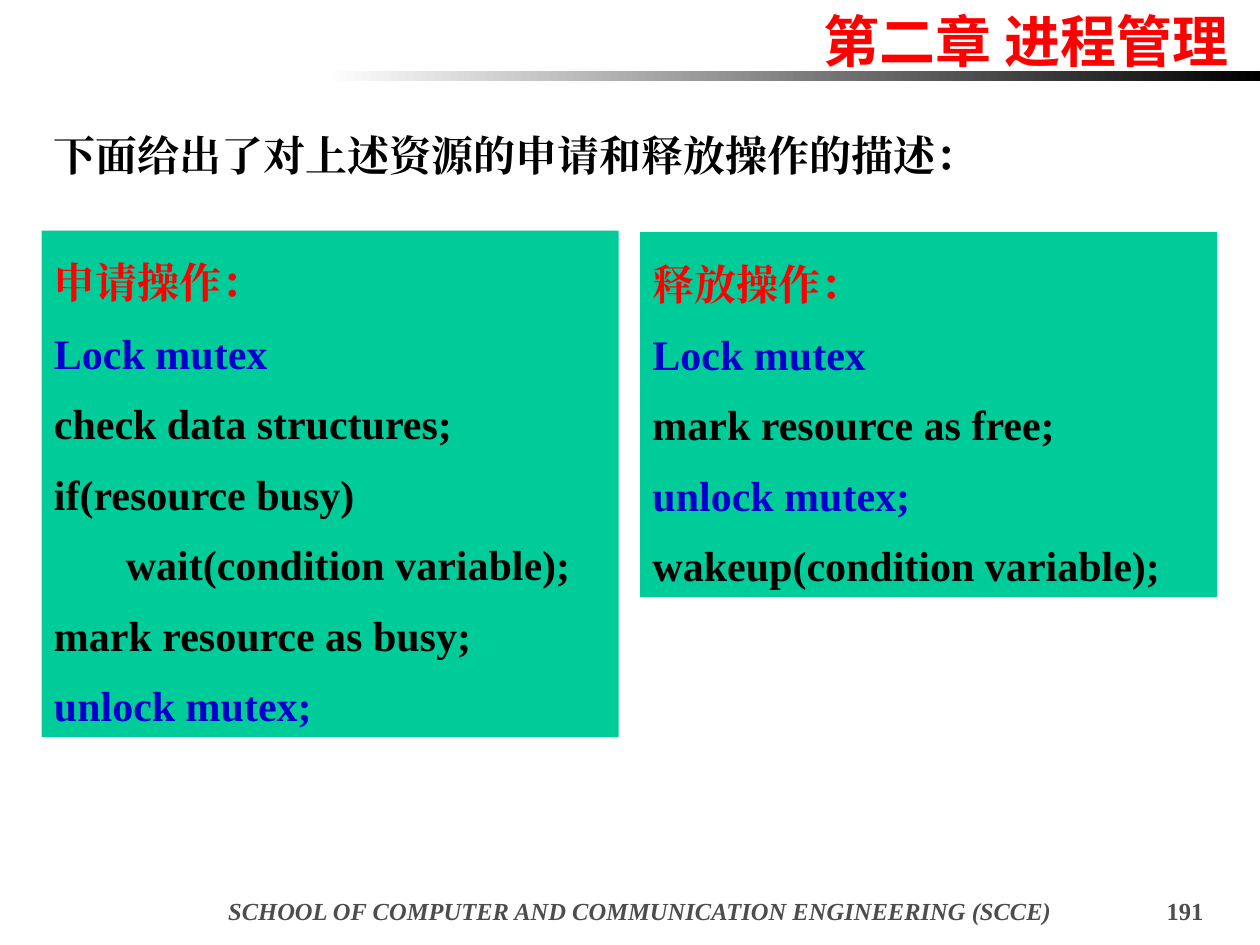
from lxml.etree import SubElement
from pptx import Presentation
from pptx.dml.color import RGBColor
from pptx.enum.shapes import MSO_SHAPE
from pptx.enum.text import MSO_ANCHOR, PP_ALIGN
from pptx.oxml.ns import qn
from pptx.util import Inches, Pt

SERIF, SANS = "Times New Roman", "Noto Sans CJK SC"
RED, BLUE, BLACK, GRAY, GREEN = "FF0000", "0000CC", "000000", "4D4D4D", "00CC99"
BODY_LEADING = 40.25

CHAPTER = "第二章 进程管理"
INTRO = "下面给出了对上述资源的申请和释放操作的描述："
SCHOOL = "SCHOOL OF COMPUTER AND COMMUNICATION ENGINEERING (SCCE)"
PAGE = "191"

# Each operation: top, height, lines of (text, colour, indent)
OPERATIONS = [
    (1.83, 4.02, [
        ("申请操作：", RED, 0),
        ("Lock mutex", BLUE, 0),
        ("check data structures;", BLACK, 0),
        ("if(resource busy)", BLACK, 0),
        ("wait(condition variable);", BLACK, 0.57),
        ("mark resource as busy;", BLACK, 0),
        ("unlock mutex;", BLUE, 0),
    ]),
    (1.84, 2.9, [
        ("释放操作：", RED, 0),
        ("Lock mutex", BLUE, 0),
        ("mark resource as free;", BLACK, 0),
        ("unlock mutex;", BLUE, 0),
        ("wakeup(condition variable);", BLACK, 0),
    ]),
]
PANEL_LEFT, PANEL_WIDTH, PANEL_STEP = 0.33, 4.58, 4.75


def color(hex_value):
    return RGBColor.from_string(hex_value)


def add_box(left, top, width, height):
    return slide.shapes.add_textbox(*map(Inches, (left, top, width, height)))


def add_bar(left, top, width, height):
    bar = slide.shapes.add_shape(
        MSO_SHAPE.RECTANGLE, *map(Inches, (left, top, width, height)))
    bar.shadow.inherit = False
    bar.line.fill.background()
    return bar


def write(shape, lines, size=24, font=SERIF, align=PP_ALIGN.LEFT,
          leading=None, italic=False):
    frame = shape.text_frame
    frame.word_wrap = True
    frame.vertical_anchor = MSO_ANCHOR.TOP
    frame.text = "\n".join(text for text, _, _ in lines)
    for paragraph, (_, ink, indent) in zip(frame.paragraphs, lines):
        paragraph.alignment = align
        if leading:
            paragraph.line_spacing = Pt(leading)
        if indent:
            paragraph._p.get_or_add_pPr().set("marL", str(Inches(indent)))
        for run in paragraph.runs:
            run.font.size = Pt(size)
            run.font.bold = True
            run.font.italic = italic
            run.font.color.rgb = color(ink)
            run.font.name = font
            SubElement(run._r.get_or_add_rPr(), qn("a:ea"), typeface=font)


deck = Presentation()
deck.slide_width, deck.slide_height = Inches(10), Inches(7.5)
slide = deck.slides.add_slide(deck.slide_layouts[6])

# Chapter heading with fading rule
write(add_box(6.35, -0.03, 3.5, 0.64), [(CHAPTER, RED, 0)],
      size=32, font=SANS, align=PP_ALIGN.RIGHT, leading=41)
rule = add_bar(2.58, 0.56, 7.42, 0.08)
rule.fill.gradient()
rule.fill.gradient_angle = 180
for stop, shade in zip(rule.fill.gradient_stops, (BLACK, "FFFFFF")):
    stop.color.rgb = color(shade)

# Introduction
write(add_box(PANEL_LEFT, 0.82, 9.17, 0.66), [(INTRO, BLACK, 0)],
      leading=BODY_LEADING)

# Request and release panels
for column, (top, height, lines) in enumerate(OPERATIONS):
    panel = add_bar(PANEL_LEFT + column * PANEL_STEP, top, PANEL_WIDTH, height)
    panel.fill.solid()
    panel.fill.fore_color.rgb = color(GREEN)
    write(panel, lines, leading=BODY_LEADING)

# Footer
write(add_box(1.38, 7.06, 7.4, 0.28), [(SCHOOL, GRAY, 0)],
      size=14, align=PP_ALIGN.CENTER, italic=True)
write(add_box(9.02, 7.06, 0.63, 0.28), [(PAGE, GRAY, 0)],
      size=14, align=PP_ALIGN.RIGHT)

deck.save("out.pptx")
